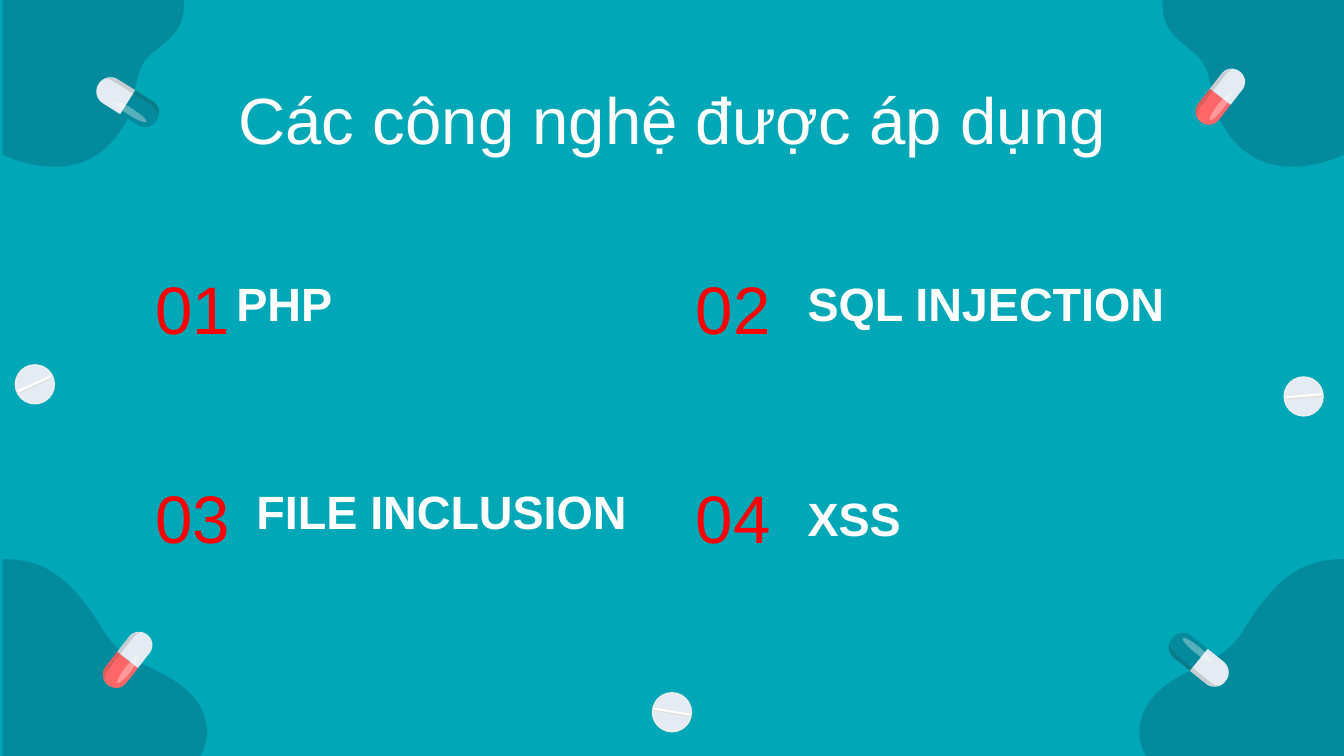
from math import cos, sin, radians
from pptx import Presentation
from pptx import util as u
from pptx.dml.color import RGBColor
from pptx.enum import shapes, text
from pptx.oxml import parse_xml
from pptx.oxml.ns import nsdecls, qn

WIDE = 10
HIGH = WIDE * 9 / 16
FONT = "Arial"
HUES = {"sea": "00A7B6", "deep": "038A9C", "rim": "EFEFEF", "pale": "E4EBF2",
        "white": "FFFFFF", "dark": "2C2C2C", "coral": "FF6668", "red": "FF0000"}

TITLE = "Các công nghệ được áp dụng"
TOPICS = [("01", "PHP", 1.66, 1.98), ("02", "SQL INJECTION", 5.91, 1.98),
          ("03", "FILE INCLUSION", 1.81, 3.53), ("04", "XSS", 5.91, 3.58)]
COLS, ROWS = (0.98, 5), (1.94, 3.5)

LOW = [(0.02, 4.16), (0.34, 4.16, 0.5, 4.31, 0.67, 4.54),
       (0.75, 4.65, 0.8, 4.77, 0.9, 4.84), (1.04, 4.95, 1.06, 4.93, 1.22, 5.02),
       (1.35, 5.09, 1.48, 5.19, 1.52, 5.33), (1.56, 5.43, 1.54, 5.55, 1.49, HIGH),
       (0.02, HIGH)]
TOP = [(1.37, 0.04), (1.37, 0.29, 1.14, 0.34, 1.06, 0.48),
       (0.99, 0.61, 1.02, 0.76, 0.93, 0.92), (0.65, 1.43, 0.1, 1.19, 0.02, 1.15),
       (0.02, 0), (1.37, 0)]

TABS = [(0.26, 2.86, -24.7), (9.7, 2.95, -5), (5, 5.3, 9.6)]
PILLS = [(0.95, 0.76, 32, 1, 1, "deep"), (9.08, 0.72, 128, 0.93, -1, "coral"),
         (8.92, 4.91, 219, 1, 1, "deep"), (0.95, 4.91, 128, 0.93, -1, "coral")]
HALF = [(0, -10.5), (15, -10.5), (21, -10.5, 25.5, -6, 25.5, 0),
        (25.5, 6, 21, 10.5, 15, 10.5), (0, 10.5)]
SHADE = [(-23.5, -5.5), (-22, -8, -18, -10, -14, -10.3), (15, -10.3),
         (20, -10, 24, -8, 24, -4.5), (22, -7, 18, -7.5, 12, -7.5),
         (-16, -7.5), (-19, -7.5, -22, -7, -23.5, -5.5)]
GLARE = [(-8.5, 5), (-8.5, 1.5, 19.5, 1.5, 19.5, 5), (19.5, 8.5, -8.5, 8.5, -8.5, 5)]

deck = Presentation()
deck.slide_width, deck.slide_height = u.Inches(WIDE), u.Inches(HIGH)
slide = deck.slides.add_slide(deck.slide_layouts[6])
slide.background.fill.solid()
slide.background.fill.fore_color.rgb = RGBColor.from_string(HUES["sea"])


def paint(shape, hue, alpha=100):
    shape.shadow.inherit = False
    shape.line.fill.background()
    shape.fill.solid()
    shape.fill.fore_color.rgb = RGBColor.from_string(HUES[hue])
    if alpha < 100:
        tint = shape.fill._xPr.find(".//" + qn("a:srgbClr"))
        tint.append(parse_xml(f'<a:alpha {nsdecls("a")} val="{alpha * 1000}"/>'))


def trace(steps, count=12):
    spots = []
    for step in steps:
        if len(step) == 2:
            spots.append(step)
            continue
        ends = [spots[-1], step[:2], step[2:4], step[4:]]
        for i in range(1, count + 1):
            t = i / count
            parts = ((1 - t) ** 3, 3 * t * (1 - t) ** 2, 3 * t * t * (1 - t), t ** 3)
            spots.append(tuple(sum(p * e[k] for p, e in zip(parts, ends)) for k in (0, 1)))
    return spots


def draw(steps, hue, alpha=100, place=lambda x, y: (x, y)):
    spots = [tuple(u.Inches(v) for v in place(x, y)) for x, y in trace(steps)]
    pen = slide.shapes.build_freeform(*spots[0], scale=1)
    pen.add_line_segments(spots[1:], close=True)
    paint(pen.convert_to_shape(), hue, alpha)


def frame(x, y, turn, size=0.01, side=1, flip=1):
    c, s = cos(radians(turn)), sin(radians(turn))

    def place(a, b):
        a, b = a * size * flip, b * size * side
        return x + a * c - b * s, y + a * s + b * c
    return place


def disc(x, y, r, hue):
    box = [u.Inches(v) for v in (x - r, y - r, 2 * r, 2 * r)]
    paint(slide.shapes.add_shape(shapes.MSO_SHAPE.OVAL, *box), hue)


def bar(low, high):
    return [(-13.5, low), (13.5, low), (13.5, high), (-13.5, high)]


def write(words, box, size, hue, bold=False, anchor="TOP", align="CENTER"):
    body = slide.shapes.add_textbox(*[u.Inches(v) for v in box]).text_frame
    body.word_wrap = True
    body.vertical_anchor = getattr(text.MSO_ANCHOR, anchor)
    body.margin_left = body.margin_right = u.Inches(0.1)
    body.margin_top = body.margin_bottom = u.Inches(0.1)
    para = body.paragraphs[0]
    para.alignment = getattr(text.PP_ALIGN, align)
    run = para.add_run()
    run.text = words
    run.font.name, run.font.size, run.font.bold = FONT, u.Pt(size), bold
    run.font.color.rgb = RGBColor.from_string(HUES[hue])


for blob in (LOW, TOP):
    draw(blob, "deep")
    draw(blob, "deep", place=lambda x, y: (WIDE + 0.02 - x, y))

for x, y, turn in TABS:
    disc(x, y, 0.15, "rim")
    disc(x, y, 0.14, "pale")
    spot = frame(x, y, turn)
    draw(bar(-1.2, 1.2), "white", place=spot)
    draw(bar(0.4, 1.2), "dark", 16, spot)

write(TITLE, (0.79, 0.49, 8.43, 0.63), 35, "white")
for i, (mark, name, left, top) in enumerate(TOPICS):
    write(mark, (COLS[i % 2], ROWS[i // 2], 0.91, 0.69), 36, "red", anchor="MIDDLE")
    write(name, (left, top, 3.11, 0.58), 25, "white", True, "BOTTOM", "LEFT")

for x, y, turn, size, side, hue in PILLS:
    spot = frame(x, y, turn, size / 100, side)
    draw(HALF, hue, place=spot)
    draw(HALF, "pale", place=frame(x, y, turn, size / 100, side, -1))
    draw(SHADE, "dark", 16, spot)
    draw(GLARE, "white", 33, spot)

deck.save("out.pptx")
